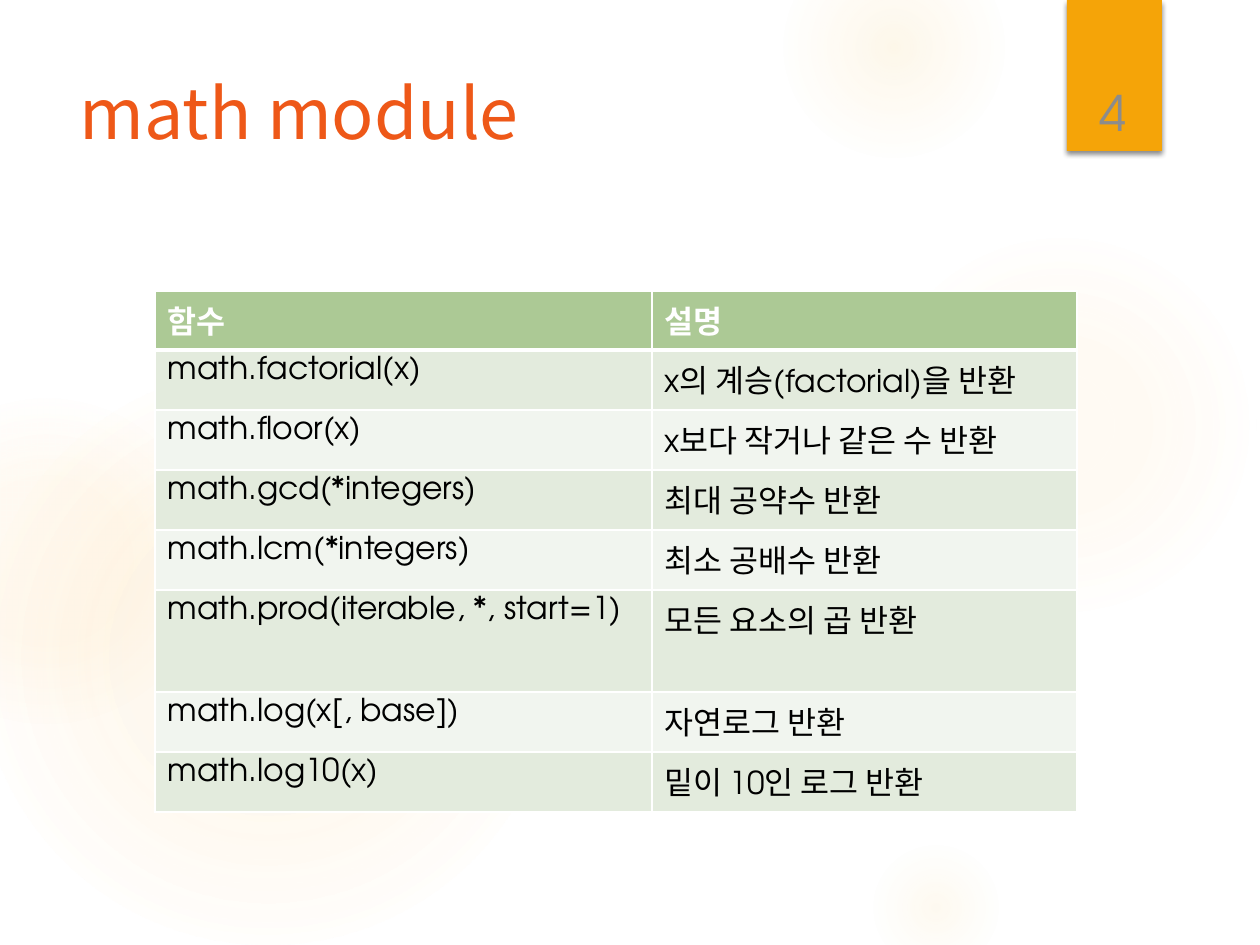
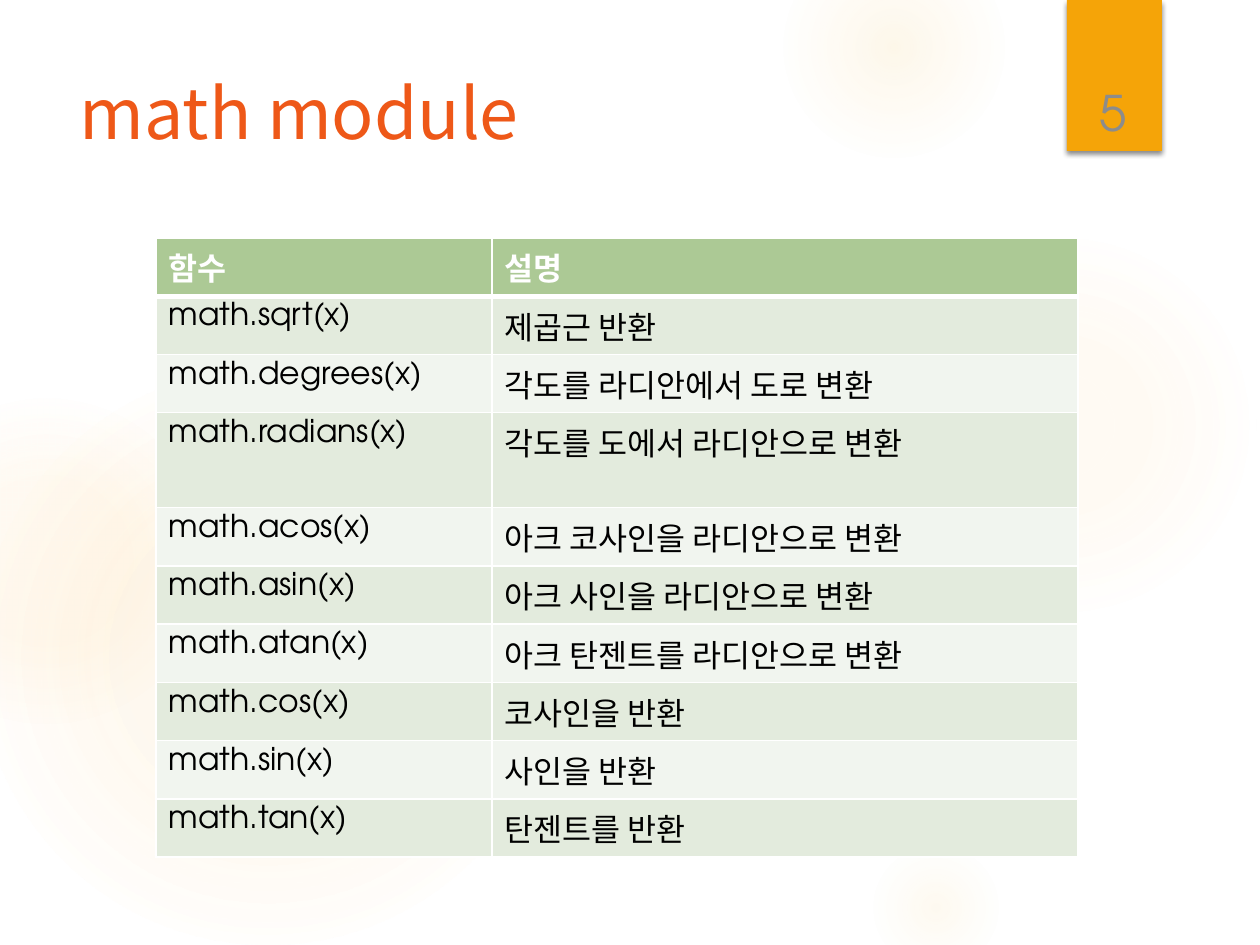
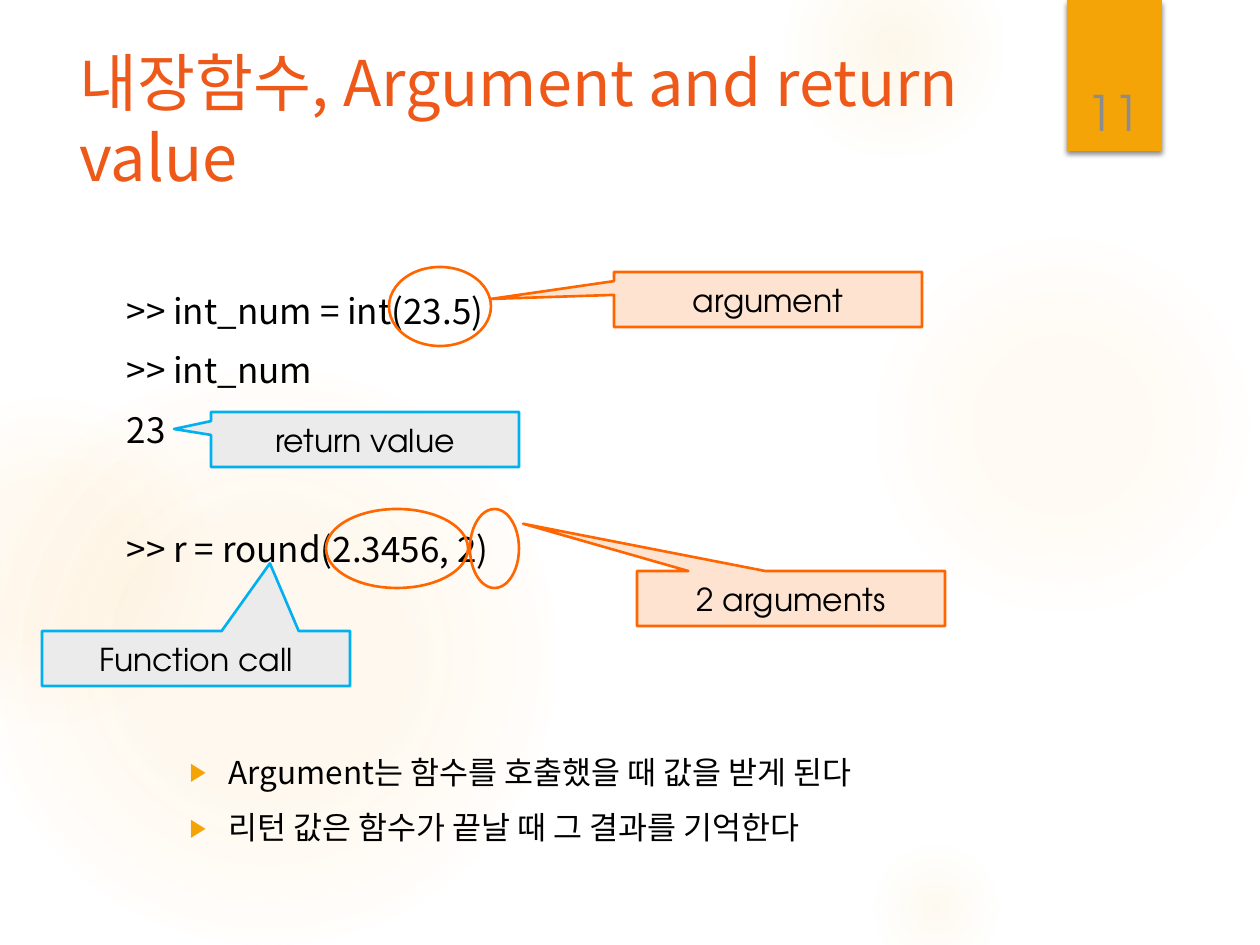
from dataclasses import dataclass

from pptx import Presentation, util as u
from pptx.dml.color import RGBColor
from pptx.enum import shapes as kinds, text as txt
from pptx.oxml import parse_xml
from pptx.oxml.ns import nsdecls

SCALE = 914400 / 126


@dataclass(frozen=True)
class Theme:
    sans: str = "Noto Sans CJK KR"
    geo: str = "TeX Gyre Adventor"
    title: str = "EE5818"
    band: str = "F5A408"
    glow: str = "FAC96A"
    number: str = "8C8C8C"
    ink: str = "000000"
    white: str = "FFFFFF"
    head: str = "ACC995"
    rows: tuple = ("E3EBDD", "F1F5EF")
    orange: str = "FF6600"
    peach: str = "FEE3D1"
    blue: str = "00B0F0"
    gray: str = "EBEBEB"
    big: int = 40
    wide: int = 36
    page: int = 28
    code: int = 20
    base: int = 18


T = Theme()

# left, top, diameter, then gradient stops as (position, opacity) in percent
GLOWS = [
    (868, 231, 388, ((0, 7), (36, 6), (69, 0))),
    (784, -63, 220, ((0, 14), (36, 7), (73, 0))),
    (868, 840, 136, ((0, 10), (31, 5), (66, 0))),
    (-21, 368, 577, ((0, 11), (36, 10), (75, 0))),
    (-116, 399, 325, ((0, 8), (36, 8), (72, 0))),
]

HEAD = ("함수", "설명")
BASIC = [
    ("math.factorial(x)", "x의 계승(factorial)을 반환"),
    ("math.floor(x)", "x보다 작거나 같은 수 반환"),
    ("math.gcd(*integers)", "최대 공약수 반환"),
    ("math.lcm(*integers)", "최소 공배수 반환"),
    ("math.prod(iterable, *, start=1)", "모든 요소의 곱 반환"),
    ("math.log(x[, base])", "자연로그 반환"),
    ("math.log10(x)", "밑이 10인 로그 반환"),
]
TRIG = [
    ("math.sqrt(x)", "제곱근 반환"),
    ("math.degrees(x)", "각도를 라디안에서 도로 변환"),
    ("math.radians(x)", "각도를 도에서 라디안으로 변환"),
    ("math.acos(x)", "아크 코사인을 라디안으로 변환"),
    ("math.asin(x)", "아크 사인을 라디안으로 변환"),
    ("math.atan(x)", "아크 탄젠트를 라디안으로 변환"),
    ("math.cos(x)", "코사인을 반환"),
    ("math.sin(x)", "사인을 반환"),
    ("math.tan(x)", "탄젠트를 반환"),
]

# text, space before in points
CODE = [
    (">> int_num = int(23.5)", 0),
    (">> int_num", 10),
    ("23", 10),
    (">> r = round(2.3456, 2)", 44),
]
NOTES = [
    ("Argument는 함수를 호출했을 때 값을 받게 된다", 105),
    ("리턴 값은 함수가 끝날 때 그 결과를 기억한다", 10),
]

# Offsets from the code box; callouts also carry their tip
RINGS = [(275, -16, 102, 79), (212, 226, 142, 79), (356, 226, 49, 79)]
CALLS = [
    ("argument", 500, -11, (-0.9, -0.01), T.peach, T.orange),
    ("return value", 97, 129, (-0.62, -0.19), T.gray, T.blue),
    ("2 arguments", 523, 288, (-0.87, -1.36), T.peach, T.orange),
    ("Function call", -72, 348, (0.24, -1.73), T.gray, T.blue),
]


def px(n):
    return u.Emu(round(n * SCALE))


def rgb(code):
    return RGBColor.from_string(code)


def xml(body):
    """Parse one element of the drawing namespace."""
    tag, rest = body[1:].split(" ", 1)
    return parse_xml(f"<{tag} {nsdecls('a')} {rest}")


def say(par, words, size, color=T.ink, font=T.geo, bold=False):
    run = par.add_run()
    run.text = words
    face = run.font
    face.size, face.bold, face.name = u.Pt(size), bold, font
    face.color.rgb = rgb(color)


def draw(slide, kind, box, fill=None, line=None):
    """Add a preset shape without shadow; box is in px."""
    shape = slide.shapes.add_shape(kind, *map(px, box))
    shape.shadow.inherit = False
    if fill:
        shape.fill.solid()
        shape.fill.fore_color.rgb = rgb(fill)
    else:
        shape.fill.background()
    if line:
        shape.line.color.rgb = rgb(line)
        shape.line.width = u.Pt(1.5)
    else:
        shape.line.fill.background()
    return shape


def glow(slide, x, y, size, stops):
    shape = draw(slide, kinds.MSO_SHAPE.OVAL, (x, y, size, size), T.glow)
    marks = "".join(
        f'<a:gs pos="{pos * 1000}"><a:srgbClr val="{T.glow}">'
        f'<a:alpha val="{alpha * 1000}"/></a:srgbClr></a:gs>'
        for pos, alpha in stops)
    solid = shape.element.spPr.find("{*}solidFill")
    solid.getparent().replace(solid, xml(
        f'<a:gradFill rotWithShape="1"><a:gsLst>{marks}</a:gsLst>'
        '<a:path path="circle"><a:fillToRect l="50000" t="50000" '
        'r="50000" b="50000"/></a:path></a:gradFill>'))
    return shape


def band(slide):
    shape = draw(slide, kinds.MSO_SHAPE.RECTANGLE, (1067, 0, 95, 151), T.band)
    shape.element.spPr.find("{*}effectLst").append(xml(
        f'<a:outerShdw blurRad="{u.Pt(3)}" dist="{u.Pt(2)}" dir="5400000">'
        f'<a:srgbClr val="{T.ink}"><a:alpha val="45000"/></a:srgbClr>'
        '</a:outerShdw>'))
    return shape


def adorn(master, slide):
    """Draw the shared backdrop on a slide and move it to the master."""
    parts = [glow(slide, *spot) for spot in GLOWS] + [band(slide)]
    for num, part in enumerate(parts, 20):
        part.element.xpath(".//p:cNvPr")[0].set("id", str(num))
        master.shapes.element.append(part.element)


def place(shape, box):
    shape.left, shape.top, shape.width, shape.height = map(px, box)
    frame = shape.text_frame
    frame.word_wrap = True
    frame.auto_size = txt.MSO_AUTO_SIZE.NONE
    frame.vertical_anchor = txt.MSO_ANCHOR.TOP
    return frame


def title(slide, words, top=63, size=T.big):
    frame = place(slide.shapes.title, (67, top, 973, 193))
    par = frame.paragraphs[0]
    par.alignment = txt.PP_ALIGN.LEFT
    say(par, words, size, T.title, T.sans)


def number(slide, page):
    box = (1070, 41, 87, 106)
    frame = place(slide.shapes.add_textbox(*map(px, box)), box)
    frame.vertical_anchor = txt.MSO_ANCHOR.BOTTOM
    par = frame.paragraphs[0]
    par.alignment = txt.PP_ALIGN.CENTER
    say(par, str(page), T.page, T.number)


def edge(cell, head):
    props = cell._tc.get_or_add_tcPr()
    for side in "LRTB":
        width = u.Pt(3 if head and side == "B" else 1)
        props.append(xml(
            f'<a:ln{side} w="{width}"><a:solidFill>'
            f'<a:srgbClr val="{T.white}"/></a:solidFill></a:ln{side}>'))


def grid(slide, left, top, cols, highs, rows):
    """Fill a two-column table of functions under a header row."""
    box = (left, top, sum(cols), sum(highs))
    table = slide.shapes.add_table(len(highs), len(cols),
                                   *map(px, box)).table
    for col, wide in zip(table.columns, cols):
        col.width = px(wide)
    for r, (high, words) in enumerate(zip(highs, [HEAD, *rows])):
        table.rows[r].height = px(high)
        head = r == 0
        for c, word in enumerate(words):
            cell = table.cell(r, c)
            edge(cell, head)
            cell.fill.solid()
            cell.fill.fore_color.rgb = rgb(T.head if head
                                           else T.rows[(r - 1) % 2])
            say(cell.text_frame.paragraphs[0], word, T.base,
                T.white if head else T.ink, bold=head)


def heights(head, row, tall, count, at):
    """Equal rows under a header, with one taller row."""
    return [head] + [tall if n == at else row for n in range(1, count + 1)]


def listing(slide, box):
    frame = place(slide.placeholders[1], box)
    for n, (words, gap) in enumerate(CODE + NOTES):
        par = frame.add_paragraph() if n else frame.paragraphs[0]
        note = n >= len(CODE)
        props = par._p.get_or_add_pPr()
        props.set("marL", str(px(102 if note else 0)))
        props.set("indent", str(px(-39 if note else 0)))
        if note:
            par.level = 1
            props.append(xml('<a:buClr ><a:srgbClr '
                             f'val="{T.band}"/></a:buClr>'))
            props.append(xml('<a:buSzPct val="80000"/>'))
            props.append(xml('<a:buChar char="▶"/>'))
        else:
            props.append(xml("<a:buNone />"))
        par.space_before = u.Pt(gap)
        say(par, words, T.base if note else T.code, font=T.sans)


def callout(slide, words, box, tip, fill, line):
    shape = draw(slide, kinds.MSO_SHAPE.RECTANGULAR_CALLOUT, box, fill, line)
    shape.adjustments[0], shape.adjustments[1] = tip
    frame = shape.text_frame
    frame.vertical_anchor = txt.MSO_ANCHOR.MIDDLE
    par = frame.paragraphs[0]
    par.alignment = txt.PP_ALIGN.CENTER
    say(par, words, T.base)


def sample(slide, box):
    """Place the code, its rings and its callouts."""
    left, top = box[:2]
    listing(slide, box)
    for x, y, wide, high in RINGS:
        draw(slide, kinds.MSO_SHAPE.OVAL, (left + x, top + y, wide, high),
             line=T.orange)
    for words, x, y, tip, fill, line in CALLS:
        callout(slide, words, (left + x, top + y, 308, 55), tip, fill, line)


def main():
    deck = Presentation()
    deck.slide_width, deck.slide_height = px(1260), px(945)
    basic, trig, args = [deck.slides.add_slide(deck.slide_layouts[n])
                         for n in (5, 5, 1)]
    adorn(deck.slide_master, basic)

    title(basic, "math module")
    grid(basic, 155, 291, (497, 425),
         heights(59, 60, 102, len(BASIC), 5), BASIC)
    number(basic, 4)

    title(trig, "math module")
    grid(trig, 156, 238, (336, 586),
         heights(56, 58, 95, len(TRIG), 3), TRIG)
    number(trig, 5)

    title(args, "내장함수, Argument and return value", 37, T.wide)
    sample(args, (114, 283, 926, 578))
    number(args, 11)

    deck.save("out.pptx")


if __name__ == "__main__":
    main()
